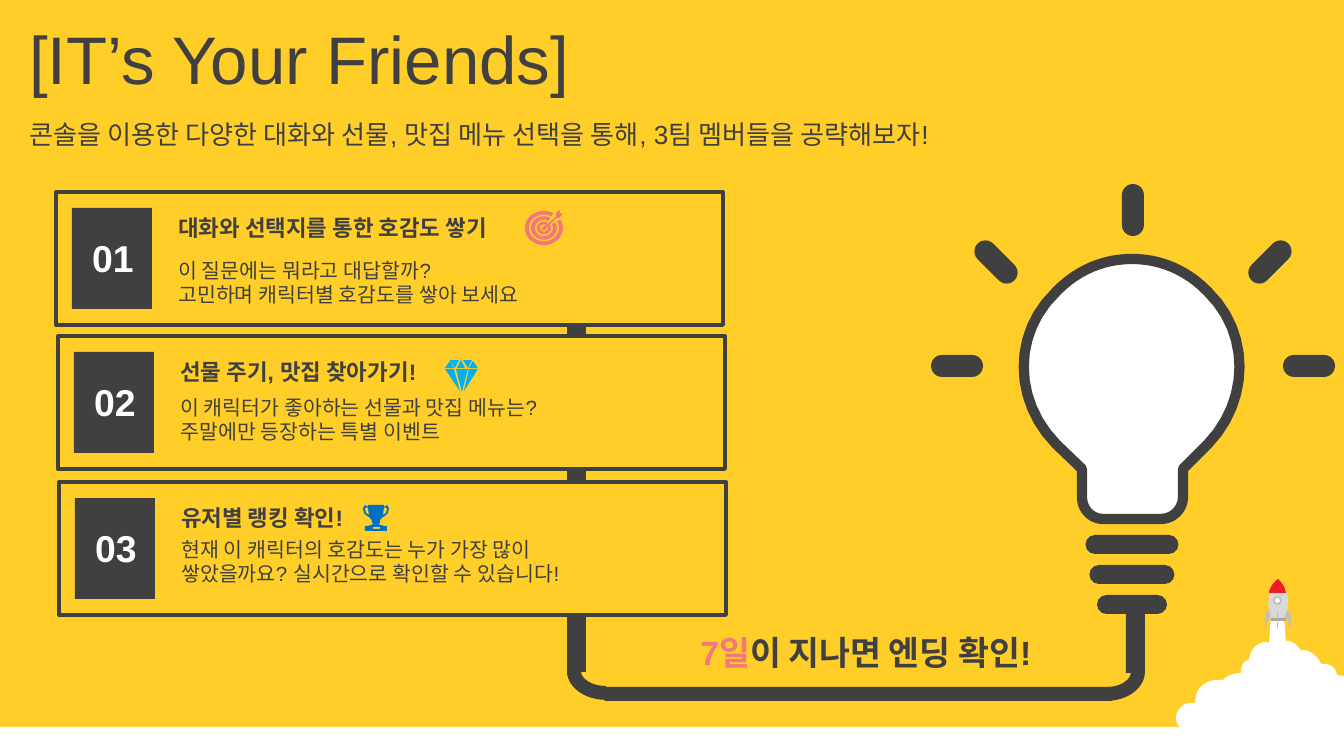
import math

from pptx import Presentation
from pptx import util as u
from pptx.dml.color import RGBColor
from pptx.enum import shapes as s, text as t

PX = 914400 / 134.4
WIDTH, HEIGHT = 1344, 756
COLORS = {
    "yellow": "FFCE29", "dark": "404040", "white": "FFFFFF", "pink": "F4777C",
    "blue": "0070C0", "cyan": "00B0F0", "red": "ED1C24", "light": "D9D9D9",
    "silver": "BFBFBF", "gray": "A6A6A6",
}
KIND = s.MSO_SHAPE

# Content
TITLE = "[IT’s Your Friends]"
SUBTITLE = "콘솔을 이용한 다양한 대화와 선물, 맛집 메뉴 선택을 통해, 3팀 멤버들을 공략해보자!"
ENDING = [("7일", "pink"), ("이 지나면 엔딩 확인!", "dark")]
# left, top, headline, detail lines, detail offset, text width
CARDS = [
    (56, 192, "대화와 선택지를 통한 호감도 쌓기",
     ["이 질문에는 뭐라고 대답할까?", "고민하며 캐릭터별 호감도를 쌓아 보세요"], 59, 466),
    (58, 336, "선물 주기, 맛집 찾아가기!",
     ["이 캐릭터가 좋아하는 선물과 맛집 메뉴는?", "주말에만 등장하는 특별 이벤트"], 52, 466),
    (59, 482, "유저별 랭킹 확인!",
     ["현재 이 캐릭터의 호감도는 누가 가장 많이", "쌓았을까요? 실시간으로 확인할 수 있습니다!"], 48, 556),
]
CABLE = [(567, 314, 19, 358), (605, 687, 507, 14), (1126, 599, 19, 74)]
ELBOWS = [(567, 642, 78, 58, 0), (1077, 633, 58, 78, 270)]
RAYS = [(957, 366, 90), (996, 262, -45), (1133, 210, 0), (1270, 262, 45), (1309, 366, 90)]
SOCKET_WIDTHS = [93, 85, 70]

# Outlines: each step is one point, or two curve handles and an end point
BULB = [(1132, 259), (1160, 259, 1187, 270, 1208, 292), (1250, 333, 1250, 400, 1208, 444),
        (1183, 469), (1183, 497), (1183, 509, 1173, 519, 1161, 519), (1103, 519),
        (1091, 519, 1082, 509, 1082, 497), (1082, 469), (1056, 444),
        (1013, 400, 1013, 333, 1056, 292), (1077, 270, 1104, 259, 1132, 259)]
SMOKE = [(1271, 617), (1284, 617), (1286, 641), (1289, 641),
         (1293, 642, 1297, 645, 1300, 649), (1301, 652), (1302, 650),
         (1310, 650, 1318, 656, 1321, 664), (1325, 664),
         (1331, 664, 1336, 668, 1337, 675), (1344, 676), (1344, 754), (1255, 754),
         (1240, 754, 1234, 748, 1227, 741), (1224, 743, 1219, 744, 1215, 743),
         (1210, 742, 1202, 739, 1200, 732), (1197, 732, 1195, 732, 1191, 732),
         (1183, 732, 1176, 726, 1176, 718), (1176, 710, 1183, 703, 1191, 703),
         (1195, 703), (1195, 689, 1204, 680, 1218, 680), (1223, 680),
         (1228, 675, 1234, 673, 1241, 673), (1241, 665, 1243, 661, 1249, 660),
         (1250, 649, 1258, 642, 1266, 642), (1269, 643)]
ROCKET_BODY = [(1271, 621), (1269, 609, 1264, 591, 1278, 579), (1293, 593, 1288, 610, 1285, 621)]
ROCKET_NOSE = [(1278, 579), (1282, 583, 1285, 587, 1286, 593), (1269, 593),
               (1270, 587, 1273, 583, 1278, 579)]
ROCKET_FIN = [(1269, 610), (1271, 617), (1266, 620, 1267, 626, 1266, 629),
              (1265, 625, 1263, 614, 1269, 610)]
TROPHY_HALF = [(376, 505), (384, 505), (384, 507), (387, 505), (389, 508), (388, 513),
               (385, 516), (383, 517), (380, 520), (380, 523), (378, 524), (384, 526),
               (387, 526), (387, 531), (376, 531)]
TROPHY_HANDLE = [(384, 508), (386, 507), (387, 509), (386, 513), (383, 515)]
TROPHY_PLATE = [(373, 527), (380, 527), (380, 529), (373, 529)]
DIAMOND = [[(469, 369), (478, 369), (464, 391)], [(445, 369), (454, 369), (460, 391)],
           [(456, 369), (468, 369), (462, 392)], [(473, 361), (478, 368), (469, 368)],
           [(463, 360), (472, 360), (468, 368)], [(461, 360), (465, 368), (457, 368)],
           [(450, 360), (459, 360), (455, 368)], [(450, 361), (454, 368), (445, 368)]]
TARGET_CENTER = (544, 228)
TARGET_RINGS = [(19, 15), (13, 9), (7, 4)]
TARGET_ARROW = [(542, 227), (545, 226), (556, 217), (556, 213), (560, 210), (560, 213),
                (563, 214), (559, 218), (557, 218), (547, 227), (546, 230), (542, 230)]

presentation = Presentation()
presentation.slide_width, presentation.slide_height = round(WIDTH * PX), round(HEIGHT * PX)
slide = presentation.slides.add_slide(presentation.slide_layouts[6])


def rgb(color):
    return RGBColor.from_string(COLORS[color])


def paint(shape, fill, line=None, weight=1):
    shape.shadow.inherit = False
    shape.fill.solid()
    shape.fill.fore_color.rgb = rgb(fill)
    if line:
        shape.line.color.rgb = rgb(line)
        shape.line.width = u.Pt(weight)
    else:
        shape.line.fill.background()
    return shape


def add_shape(kind, box, fill, line=None, weight=1):
    shape = slide.shapes.add_shape(kind, *(round(v * PX) for v in box))
    return paint(shape, fill, line, weight)


def add_text(box, paragraphs, size, color="dark", bold=False, align=None, middle=False, wrap=True):
    frame = slide.shapes.add_textbox(*(round(v * PX) for v in box)).text_frame
    frame.word_wrap = wrap
    if middle:
        frame.vertical_anchor = t.MSO_ANCHOR.MIDDLE
    for index, runs in enumerate(paragraphs):
        paragraph = frame.add_paragraph() if index else frame.paragraphs[0]
        for words, run_color in ([(runs, color)] if isinstance(runs, str) else runs):
            run = paragraph.add_run()
            run.text = words
            run.font.color.rgb = rgb(run_color)
        paragraph.font.name, paragraph.font.size = "Arial", u.Pt(size)
        paragraph.font.bold = bold
        if align:
            paragraph.alignment = align


def flatten(outline, steps=12):
    """Turn curve steps into short straight segments."""
    points = []
    for step in outline:
        if len(step) == 2:
            points.append(step)
            continue
        handles = [points[-1], step[:2], step[2:4], step[4:]]
        for k in range(1, steps + 1):
            f = k / steps
            weights = [(1 - f) ** 3, 3 * f * (1 - f) ** 2, 3 * f * f * (1 - f), f ** 3]
            points.append(tuple(sum(w * h[axis] for w, h in zip(weights, handles))
                                for axis in (0, 1)))
    return points


def add_outline(contours, fill, line=None, weight=1):
    builder = None
    for contour in contours:
        points = [(round(x * PX), round(y * PX)) for x, y in flatten(contour)]
        if builder is None:
            builder = slide.shapes.build_freeform(*points[0])
        else:
            builder.move_to(*points[0])
        builder.add_line_segments(points[1:], close=True)
    return paint(builder.convert_to_shape(), fill, line, weight)


def mirror(outline, axis):
    return [tuple(2 * axis - v if i % 2 == 0 else v for i, v in enumerate(step))
            for step in outline]


def open_ring(outer, inner):
    """Ring with a gap at the upper right, slightly wider than tall."""
    x, y = TARGET_CENTER
    angles = [math.radians(a) for a in range(-30, 301, 10)]
    return [(x + r * math.cos(a), y + 0.9 * r * math.sin(a))
            for r, sweep in ((outer, angles), (inner, angles[::-1])) for a in sweep]


# Background, smoke and rocket
slide.background.fill.solid()
slide.background.fill.fore_color.rgb = rgb("yellow")
add_shape(KIND.RECTANGLE, (0, 727, WIDTH, HEIGHT - 727), "white")
add_outline([SMOKE], "white")
add_outline([ROCKET_BODY], "light")
add_shape(KIND.RECTANGLE, (1271, 618, 15, 3), "gray")
add_outline([ROCKET_NOSE], "red")
add_shape(KIND.OVAL, (1274, 597, 7, 7), "white", "silver")
add_shape(KIND.RECTANGLE, (1277, 611, 1, 17), "silver")
for fin in (ROCKET_FIN, mirror(ROCKET_FIN, 1278)):
    add_outline([fin], "silver")

# Headings
add_text((16, 15, 599, 85), [TITLE], 36, middle=True)
add_text((16, 113, 1013, 42), [SUBTITLE], 14, middle=True)

# Cable from the cards to the bulb
for box in CABLE:
    add_shape(KIND.RECTANGLE, box, "dark")
for *box, rotation in ELBOWS:
    elbow = add_shape(KIND.BLOCK_ARC, box, "dark")
    for index, value in enumerate((54.32, 108.17, 0.24)):
        elbow.adjustments[index] = value
    elbow.rotation = rotation

# Numbered cards
for number, (x, y, headline, details, offset, width) in enumerate(CARDS, 1):
    add_shape(KIND.RECTANGLE, (x, y, 667, 133), "yellow", "dark", 2)
    add_shape(KIND.RECTANGLE, (x + 16, y + 16, 80, 101), "dark")
    add_text((x + 109, y + offset, width, 63), details, 11)
    add_text((x + 109, y + 16, width, 41), [headline], 12, bold=True)
    add_text((x + 22, y + 37, 69, 59), [f"{number:02}"], 20, "white", True,
             t.PP_ALIGN.RIGHT, wrap=False)

# Light bulb, socket and rays
add_outline([BULB], "white", "dark", 5.5)
bars = [(1132 - w / 2, 535 + 30 * i, w, 19, 0) for i, w in enumerate(SOCKET_WIDTHS)]
rays = [(x - 11, y - 26, 22, 52, rotation) for x, y, rotation in RAYS]
for *box, rotation in bars + rays:
    bar = add_shape(KIND.ROUNDED_RECTANGLE, box, "dark")
    bar.adjustments[0] = 0.5
    bar.rotation = rotation

# Ending note
add_text((668, 625, 396, 54), [ENDING], 18, bold=True, align=t.PP_ALIGN.CENTER)

# Card icons
trophy = TROPHY_HALF + mirror(TROPHY_HALF, 376)[::-1]
add_outline([trophy, TROPHY_HANDLE, mirror(TROPHY_HANDLE, 376), TROPHY_PLATE], "blue")
add_outline([open_ring(*radii) for radii in TARGET_RINGS] + [TARGET_ARROW], "pink")
add_outline(DIAMOND, "cyan")

presentation.save("out.pptx")
